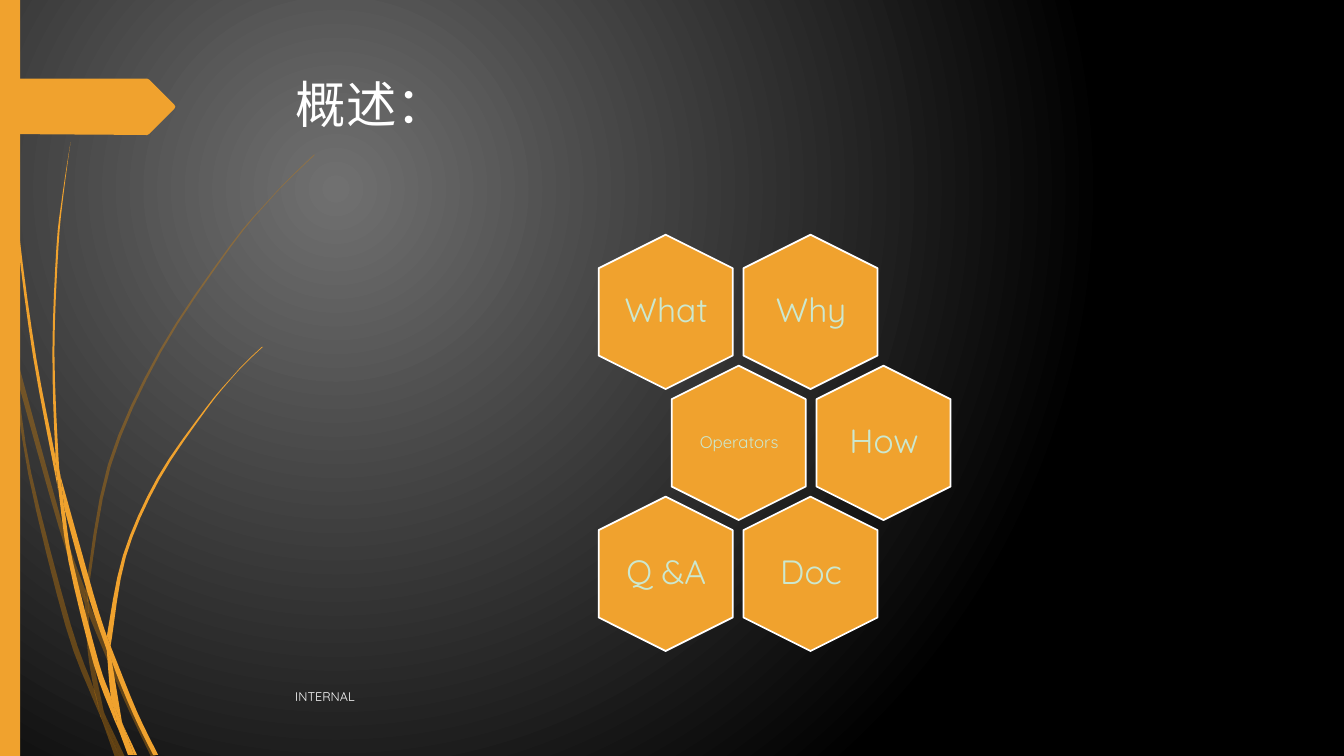
from pptx import Presentation
from pptx.dml.color import RGBColor
from pptx.enum.shapes import MSO_SHAPE
from pptx.enum.text import MSO_ANCHOR, PP_ALIGN
from pptx.oxml import parse_xml
from pptx.oxml.ns import nsdecls, qn
from pptx.util import Cm, Pt

GREY = RGBColor(0x70, 0x70, 0x70)
BLACK = RGBColor(0x00, 0x00, 0x00)
WHITE = RGBColor(0xFF, 0xFF, 0xFF)
ORANGE = RGBColor(0xF0, 0xA2, 0x2E)
BROWN = RGBColor(0xC8, 0x7D, 0x0E)
MINT = RGBColor(0xCC, 0xE8, 0xCF)
UNIT = Cm(2.54)  # grass and tag outlines are given in inches
CURVE_STEPS = 4


def add_outline(shapes, edges, color, alpha=None):
    """Fill the outline made of edges, each a smooth curve through its points."""
    points = []
    for edge in edges:
        padded = [edge[0], *edge, edge[-1]]
        for a, b, c, d in zip(padded, padded[1:], padded[2:], padded[3:]):
            for step in range(CURVE_STEPS):
                t = step / CURVE_STEPS
                points.append(tuple(
                    UNIT * (q + t / 2 * (r - p + t * (2 * p - 5 * q + 4 * r - s
                                                      + t * (3 * q - p - 3 * r + s))))
                    for p, q, r, s in zip(a, b, c, d)))
        points.append(tuple(UNIT * value for value in edge[-1]))
    builder = shapes.build_freeform(*points[0])
    builder.add_line_segments(points[1:], close=True)
    shape = builder.convert_to_shape()
    shape.shadow.inherit = False
    shape.fill.solid()
    shape.fill.fore_color.rgb = color
    shape.line.fill.background()
    if alpha:
        tone = shape.element.spPr.find(qn("a:solidFill"))[0]
        tone.append(parse_xml(f'<a:alpha {nsdecls("a")} val="{alpha * 1000}"/>'))


def add_text(shapes, text, left, top, width, height, size, color=WHITE,
             align=PP_ALIGN.LEFT, anchor=MSO_ANCHOR.MIDDLE, inset=0.25, spacing=1.0):
    box = shapes.add_textbox(Cm(left), Cm(top), Cm(width), Cm(height))
    frame = box.text_frame
    frame.word_wrap = True
    frame.vertical_anchor = anchor
    frame.margin_left = frame.margin_right = Cm(inset)
    frame.margin_top = frame.margin_bottom = Cm(inset / 2)
    para = frame.paragraphs[0]
    para.alignment = align
    para.line_spacing = spacing
    span = para.add_run()
    span.text = text
    span.font.name = "Quicksand"
    span.font.size = Pt(size)
    span.font.color.rgb = color


deck = Presentation()
deck.slide_width, deck.slide_height = Cm(33.87), Cm(19.05)
page = deck.slides.add_slide(deck.slide_layouts[6])

# Background: radial glow in the upper left
glow = page.background.fill
glow.gradient()
for stop, color in zip(glow.gradient_stops, (GREY, BLACK)):
    stop.color.rgb = color
direction = next(page.element.iter(qn("a:lin")))
direction.getparent().replace(direction, parse_xml(
    f'<a:path {nsdecls("a")} path="circle">'
    '<a:fillToRect l="50000" t="50000" r="100000" b="100000"/></a:path>'))

# Grass blades: each piece is a list of edges
dark_grass = [
    [[(0.11, 3.5), (0.09, 3.22), (0, 2.82)], [(0, 2.99), (0.1, 3.44), (0.11, 3.5)]],
    [[(0.14, 3.45), (0.62, 5.2), (0.85, 5.86)], [(0.84, 5.99), (0.58, 5.22), (0.17, 3.76)]],
    [[(0.88, 5.96), (0.92, 6.07), (1.27, 6.92), (1.55, 7.51)],
     [(1.5, 7.51), (1.23, 6.94), (0.88, 6.1)]],
    [[(1.19, 7.51), (1.24, 7.51)], [(1.05, 7.11)]],
    [[(0.11, 3.5), (0.17, 3.76), (0.31, 4.69), (0.7, 6.19), (0.93, 6.83), (0.99, 7.07),
      (1.01, 7.14)],
     [(0.92, 6.93), (0.65, 6.21), (0.28, 4.7), (0.11, 3.5)]],
    [[(0.84, 5.99), (0.87, 6.46), (0.93, 6.83), (0.96, 6.92), (1.05, 7.11)],
     [(1.03, 7.06), (0.91, 6.46), (0.88, 6.1), (0.88, 6.08), (0.84, 5.99)]],
    [[(0.88, 5.96), (0.88, 5.84), (1.1, 4.62), (1.6, 3.49), (2.29, 2.45), (2.68, 1.98),
      (2.9, 1.75), (3.12, 1.54)],
     [(3.12, 1.53), (2.89, 1.75), (2.68, 1.97), (2.28, 2.44), (1.58, 3.48), (1.07, 4.61),
      (0.85, 5.84), (0.85, 5.86)]],
    [[(1.01, 7.14), (1.14, 7.51)], [(1.19, 7.51), (1.01, 7.14)]],
    [[(0.88, 6.1), (0.88, 5.96), (0.85, 5.86)], [(0.84, 5.99), (0.88, 6.08)]],
    [[(0.93, 6.83), (0.99, 7.07), (1.01, 7.14), (1.19, 7.51)],
     [(1.05, 7.11), (0.96, 6.92), (0.93, 6.83)]],
]
bright_grass = [
    [[(0.03, 0), (0.04, 0.48), (0.07, 1.1), (0.17, 2.33), (0.33, 3.55), (0.56, 4.77),
      (0.57, 4.81)],
     [(0.55, 4.57), (0.55, 4.53), (0.36, 3.55), (0.19, 2.32), (0.08, 1.09), (0.05, 0.48),
      (0.04, 0)]],
    [[(0.64, 5.05), (0.88, 5.92), (1.06, 6.45)], [(1.06, 6.31), (0.93, 5.9), (0.6, 4.72)]],
    [[(1.1, 6.41), (1.11, 6.56), (1.32, 7.08), (1.52, 7.49)],
     [(1.57, 7.49), (1.36, 7.06), (1.13, 6.49), (1.1, 6.41)]],
    [[(0.57, 4.77), (0.68, 5.57), (0.93, 6.59), (1.11, 7.08), (1.17, 7.22)],
     [(1.16, 7.17), (1.1, 6.91), (0.98, 6.57), (0.72, 5.56), (0.64, 5.05), (0.57, 4.77)]],
    [[(0.6, 4.72), (0.58, 4.53), (0.54, 3.49), (0.58, 2.45), (0.63, 1.93), (0.7, 1.41)],
     [(0.7, 1.41), (0.62, 1.93), (0.56, 2.45), (0.52, 3.49), (0.55, 4.49), (0.6, 4.72)]],
    [[(1.33, 7.49), (1.36, 7.49)], [(1.22, 7.19)]],
    [[(0.55, 4.49), (0.55, 4.53), (0.57, 4.77), (0.64, 5.05)],
     [(0.6, 4.72), (0.55, 4.49)]],
    [[(1.1, 6.41), (1.11, 6.33), (1.25, 5.52), (1.58, 4.76), (2.05, 4.06), (2.31, 3.74),
      (2.45, 3.59), (2.61, 3.44)],
     [(2.6, 3.44), (2.45, 3.58), (2.31, 3.73), (2.04, 4.05), (1.56, 4.74), (1.22, 5.51),
      (1.06, 6.31)]],
    [[(1.17, 7.22), (1.27, 7.49)], [(1.31, 7.49), (1.17, 7.22)]],
    [[(1.06, 6.45), (1.1, 6.91), (1.16, 7.06), (1.22, 7.19)],
     [(1.21, 7.16), (1.11, 6.56), (1.09, 6.51), (1.06, 6.45)]],
    [[(1.06, 6.31), (1.06, 6.45), (1.09, 6.51), (1.11, 6.56)],
     [(1.1, 6.41), (1.06, 6.31)]],
    [[(1.1, 6.91), (1.16, 7.17), (1.17, 7.22), (1.3, 7.49)],
     [(1.33, 7.49), (1.22, 7.19), (1.16, 7.06), (1.1, 6.91)]],
]
for pieces, color, alpha in ((dark_grass, BROWN, 40), (bright_grass, ORANGE, None)):
    clump = page.shapes.add_group_shape()
    for edges in pieces:
        add_outline(clump.shapes, edges, color, alpha)

# Side bar and pointed tag
bar = page.shapes.add_shape(MSO_SHAPE.RECTANGLE, 0, 0, Cm(0.51), Cm(19.05))
bar.shadow.inherit = False
bar.fill.solid()
bar.fill.fore_color.rgb = ORANGE
bar.line.fill.background()
tag = [[(0, 0.78), (1.46, 0.78)], [(1.48, 0.79), (1.73, 1.04)], [(1.74, 1.06)],
       [(1.73, 1.08), (1.48, 1.33)], [(1.46, 1.34), (0, 1.33)]]
add_outline(page.shapes, tag, ORANGE)

# Title
add_text(page.shapes, "概述：", 7.21, 1.73, 24.77, 3.56, 36, anchor=MSO_ANCHOR.TOP)

# Honeycomb: the middle row is shifted by half a cell
honeycomb = page.shapes.add_group_shape()
for row, labels in enumerate((("What", "Why"), ("Operators", "How"), ("Q &A", "Doc"))):
    for column, label in enumerate(labels):
        left = 14.83 + 3.65 * column + 1.84 * (row % 2)
        top = 6.17 + 3.3 * row
        cell = honeycomb.shapes.add_shape(MSO_SHAPE.HEXAGON, Cm(left), Cm(top),
                                          Cm(3.89), Cm(3.38))
        cell.rotation = 90
        cell.adjustments[0] = 0.25
        cell.shadow.inherit = False
        cell.fill.solid()
        cell.fill.fore_color.rgb = ORANGE
        cell.line.color.rgb = WHITE
        cell.line.width = Pt(1.25)
        add_text(honeycomb.shapes, label, left + 0.79, top + 0.36, 2.34, 2.67,
                 12 if label == "Operators" else 24, color=MINT,
                 align=PP_ALIGN.CENTER, inset=0, spacing=0.9)

# Footer
add_text(page.shapes, "INTERNAL", 7.19, 17.04, 21.16, 1.02, 9)

deck.save("out.pptx")
